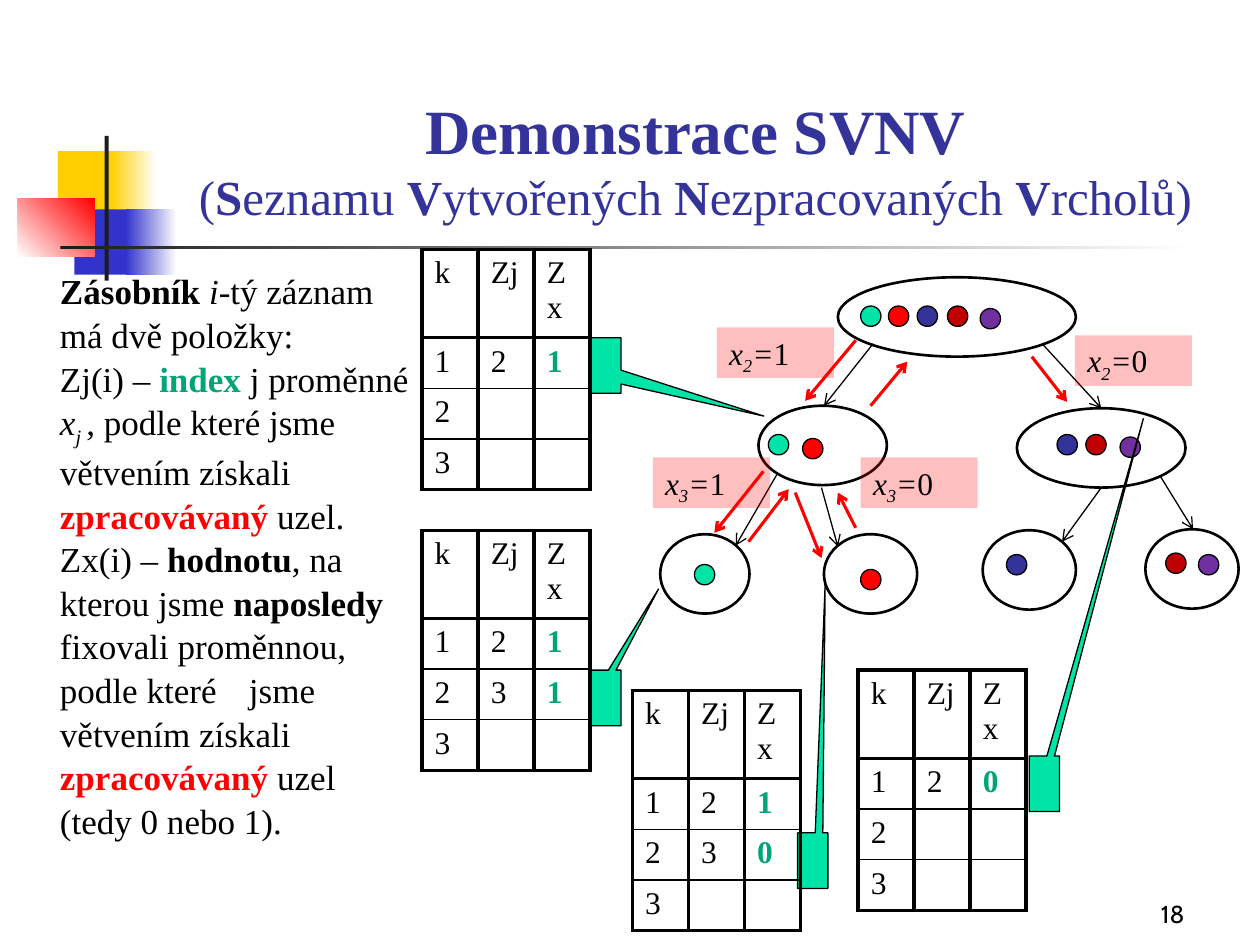
from typing import NamedTuple

from lxml.etree import SubElement
from pptx import Presentation
from pptx.dml.color import RGBColor
from pptx.enum.shapes import MSO_CONNECTOR, MSO_SHAPE
from pptx.enum.text import MSO_ANCHOR, MSO_AUTO_SIZE, PP_ALIGN
from pptx.oxml.ns import qn
from pptx.util import Cm, Pt

BLACK, WHITE, RED = "000000", "FFFFFF", "FF0000"
MINT, NAVY, MAROON, PURPLE = "00E4A8", "333399", "C00000", "7030A0"
GOLD, BLUE, DARK, TEAL = "FFCF01", "3333CC", "1C1C1C", "00A479"
SERIF = "Times New Roman"


class Box(NamedTuple):
    x: float
    y: float
    w: float
    h: float
    fill: str
    fade: str = ""
    angle: float = 0


class Arrow(NamedTuple):
    x1: float
    y1: float
    x2: float
    y2: float


class Label(NamedTuple):
    x: float
    y: float
    index: str
    value: str


class Callout(NamedTuple):
    x: float
    y: float
    tip_x: float
    tip_y: float


class Stack(NamedTuple):
    x: float
    y: float
    records: list[str]


DECORATION = [
    Box(1.17, 3.05, 1.22, 1.32, GOLD), Box(2.24, 3.05, 0.91, 1.32, GOLD, WHITE),
    Box(1.5, 4.22, 1.17, 1.32, BLUE), Box(2.54, 4.22, 1.02, 1.32, BLUE, WHITE),
    Box(0.36, 4.01, 1.55, 1.17, WHITE, RED, 45),
    Box(2.11, 2.74, 0.08, 2.92, DARK), Box(1.22, 4.95, 22.86, 0.08, DARK, WHITE),
]
NODES = [(16.89, 5.59, 4.8), (15.29, 8.18, 2.59), (20.5, 8.23, 3.4), (13.31, 10.77, 1.8),
         (16.61, 10.77, 1.88), (19.81, 10.69, 1.88), (23.09, 10.67, 1.88)]
DOTS = {
    MINT: [(17.35, 6.17), (15.49, 8.76), (14, 11.38)],
    RED: [(17.91, 6.17), (16.18, 8.84), (17.35, 11.48)],
    NAVY: [(18.49, 6.17), (21.31, 8.76), (20.29, 11.18)],
    MAROON: [(19.1, 6.17), (21.89, 8.76), (23.5, 11.15)],
    PURPLE: [(19.76, 6.22), (22.58, 8.81), (24.16, 11.18)],
}
EDGES = [
    Arrow(17.6, 6.93, 16.61, 8.18), Arrow(21.01, 6.93, 22.2, 8.23),
    Arrow(15.67, 9.55, 14.83, 11), Arrow(16.56, 9.83, 16.89, 11.02),
    Arrow(22.2, 9.83, 21.41, 10.92), Arrow(23.39, 9.6, 24.05, 10.67),
]
MOVES = [
    Arrow(17.25, 6.86, 16.23, 8.08), Arrow(15.39, 9.5, 14.4, 10.74),
    Arrow(15.09, 10.92, 15.9, 9.86), Arrow(17.25, 10.64, 16.89, 9.93),
    Arrow(16.03, 9.93, 16.56, 11.25), Arrow(17.55, 8.18, 18.29, 7.29),
    Arrow(20.8, 7.19, 21.51, 8.1),
]
LABELS = [Label(14.45, 6.6, "2", "1"), Label(21.67, 6.76, "2", "0"),
          Label(13.16, 9.22, "3", "1"), Label(17.35, 9.22, "3", "0")]
CALLOUTS = [Callout(11.91, 6.81, 5.22, 0.91), Callout(16.08, 16.79, 0.41, -4.98),
            Callout(11.91, 13.51, 1.74, -1.96), Callout(20.75, 15.24, 3.27, -6.57)]
STACKS = [Stack(8.51, 5.03, ["21"]), Stack(8.51, 10.69, ["21", "31"]),
          Stack(12.75, 13.92, ["21", "30"]), Stack(17.3, 13.51, ["20"])]

BOLD, ITALIC = {"bold": True}, {"italic": True}
ACTIVE = {"bold": True, "color": RED}
BODY = [
    (3.41, [("Zásobník ", BOLD), ("i", ITALIC), ("-tý záznam má dvě položky:", {})]),
    (0, [("Zj(i) – ", {}), ("index", {"bold": True, "color": TEAL}), (" j proměnné ", {}),
         ("x", ITALIC), ("j ", {"italic": True, "sub": True}),
         (", podle které jsme větvením získali ", {}), ("zpracovávaný ", ACTIVE),
         ("uzel.", {})]),
    (4.27, [("Zx(i) – ", {}), ("hodnotu", BOLD), (", na kterou jsme ", {}),
            ("naposledy", BOLD), (" fixovali proměnnou, podle které\tjsme větvením získali ", {}),
            ("zpracovávaný", ACTIVE), (" uzel (tedy 0 nebo 1).", {})]),
]


def rgb(value: str) -> RGBColor:
    return RGBColor.from_string(value)


def write(p, text: str, *, size: float = 18, color: str = BLACK, bold: bool = False,
          italic: bool = False, sub: bool = False, font: str = SERIF) -> None:
    r = p.add_run()
    r.text = text
    f = r.font
    f.name, f.size, f.bold, f.italic = font, Pt(size), bold, italic
    f.color.rgb = rgb(color)
    if sub:
        f._element.set("baseline", "-25000")


def add_shape(s, kind, x: float, y: float, w: float, h: float, fill: str, line: float = 0):
    sp = s.shapes.add_shape(kind, Cm(x), Cm(y), Cm(w), Cm(h))
    sp.shadow.inherit = False
    sp.fill.solid()
    sp.fill.fore_color.rgb = rgb(fill)
    if line:
        sp.line.color.rgb = rgb(BLACK)
        sp.line.width = Pt(line)
    else:
        sp.line.fill.background()
    return sp


def add_decoration(s, box: Box) -> None:
    sp = add_shape(s, MSO_SHAPE.RECTANGLE, *box[:5])
    if box.fade:
        sp.fill.gradient()
        sp.fill.gradient_angle = box.angle
        for stop, color in zip(sp.fill.gradient_stops, (box.fill, box.fade)):
            stop.color.rgb = rgb(color)


def add_arrow(s, arrow: Arrow, color: str, width: float) -> None:
    c = s.shapes.add_connector(MSO_CONNECTOR.STRAIGHT, *map(Cm, arrow))
    c.line.color.rgb = rgb(color)
    c.line.width = Pt(width)
    SubElement(c.line._get_or_add_ln(), qn("a:tailEnd"), type="arrow")
    SubElement(c._element.spPr, qn("a:effectLst"))


def add_label(s, label: Label) -> None:
    sp = add_shape(s, MSO_SHAPE.RECTANGLE, label.x, label.y, 2.36, 1.02, RED)
    color = sp._element.spPr.find(qn("a:solidFill"))[0]
    SubElement(color, qn("a:alpha"), val="25000")
    tf = sp.text_frame
    tf.vertical_anchor = MSO_ANCHOR.TOP
    p = tf.paragraphs[0]
    p.alignment = PP_ALIGN.LEFT
    write(p, "x", italic=True)
    write(p, label.index, italic=True, sub=True)
    write(p, "=", italic=True)
    write(p, label.value)


def set_borders(cell, top: float, bottom: float) -> None:
    tc_pr = cell._tc.get_or_add_tcPr()
    for i, (side, width) in enumerate(zip("LRTB", (2.25, 2.25, top, bottom))):
        ln = SubElement(tc_pr, qn(f"a:ln{side}"), w=str(Pt(width)))
        SubElement(SubElement(ln, qn("a:solidFill")), qn("a:srgbClr"), val=BLACK)
        tc_pr.insert(i, ln)


def add_stack(s, stack: Stack) -> None:
    table = s.shapes.add_table(4, 3, Cm(stack.x), Cm(stack.y), Cm(3.39), Cm(4.56)).table
    table.first_row = table.horz_banding = False
    for col in table.columns:
        col.width = Cm(1.13)
    records = stack.records + [""] * (3 - len(stack.records))
    rows = [("k", "Zj", "Zx")] + [(str(i), *rec) for i, rec in enumerate(records, 1)]
    for i, row in enumerate(rows):
        table.rows[i].height = Cm(1.02 if i else 1.5)
        for j in range(3):
            cell = table.cell(i, j)
            cell.fill.background()
            set_borders(cell, 2.25 if i < 2 else 1, 1 if i in (1, 2) else 2.25)
            if j < len(row):
                key = i > 0 and j == 2
                write(cell.text_frame.paragraphs[0], row[j], bold=key,
                      color=TEAL if key else BLACK)


def add_title(s) -> None:
    sp = s.shapes.title
    sp.left, sp.top, sp.width, sp.height = Cm(3.2), Cm(1.07), Cm(21.64), Cm(3.61)
    tf = sp.text_frame
    tf.auto_size = MSO_AUTO_SIZE.NONE
    tf.vertical_anchor = MSO_ANCHOR.BOTTOM
    p = tf.paragraphs[0]
    p.alignment = PP_ALIGN.CENTER
    write(p, "Demonstrace SVNV", size=36, color=NAVY, bold=True)
    p.add_line_break()
    write(p, "(", size=28, color=NAVY)
    for word in ("Seznamu ", "Vytvořených ", "Nezpracovaných ", "Vrcholů)"):
        write(p, word[0], size=28, color=NAVY, bold=True)
        write(p, word[1:], size=28, color=NAVY)


def add_text_box(s, x: float, y: float, w: float, h: float):
    tf = s.shapes.add_textbox(Cm(x), Cm(y), Cm(w), Cm(h)).text_frame
    tf.word_wrap = True
    return tf


def add_body(s) -> None:
    tf = add_text_box(s, 0.71, 5.28, 7.8, 12.7)
    for i, (tab, runs) in enumerate(BODY):
        p = tf.add_paragraph() if i else tf.paragraphs[0]
        p.line_spacing = 1.04
        p_pr = p._p.get_or_add_pPr()
        p_pr.set("marL", str(Cm(0.25)))
        p_pr.set("indent", "0")
        if any("\t" in text for text, _ in runs):
            SubElement(SubElement(p_pr, qn("a:tabLst")), qn("a:tab"), pos=str(Cm(tab)), algn="l")
        for text, style in runs:
            write(p, text, size=20, **style)


def main() -> None:
    prs = Presentation()
    prs.slide_width, prs.slide_height = Cm(25.4), Cm(19.05)
    s = prs.slides.add_slide(prs.slide_layouts[5])
    for box in DECORATION:
        add_decoration(s, box)
    add_title(s)
    add_body(s)
    tf = add_text_box(s, 18.85, 17.58, 5.28, 1.27)
    tf.vertical_anchor = MSO_ANCHOR.BOTTOM
    tf.paragraphs[0].alignment = PP_ALIGN.RIGHT
    write(tf.paragraphs[0], "18", size=14, font="Cabin")
    for x, y, w in NODES:
        add_shape(s, MSO_SHAPE.OVAL, x, y, w, 1.6, WHITE, 1.5)
    for color, places in DOTS.items():
        for x, y in places:
            add_shape(s, MSO_SHAPE.OVAL, x, y, 0.41, 0.41, color, 0.75)
    for arrow in EDGES:
        add_arrow(s, arrow, BLACK, 0.75)
    for arrow in MOVES:
        add_arrow(s, arrow, RED, 1.75)
    for label in LABELS:
        add_label(s, label)
    for c in CALLOUTS:
        sp = add_shape(s, MSO_SHAPE.RECTANGULAR_CALLOUT, c.x, c.y, 0.61, 1.12, MINT, 0.75)
        sp.adjustments[0], sp.adjustments[1] = c.tip_x, c.tip_y
    for stack in STACKS:
        add_stack(s, stack)
    prs.save("out.pptx")


if __name__ == "__main__":
    main()
